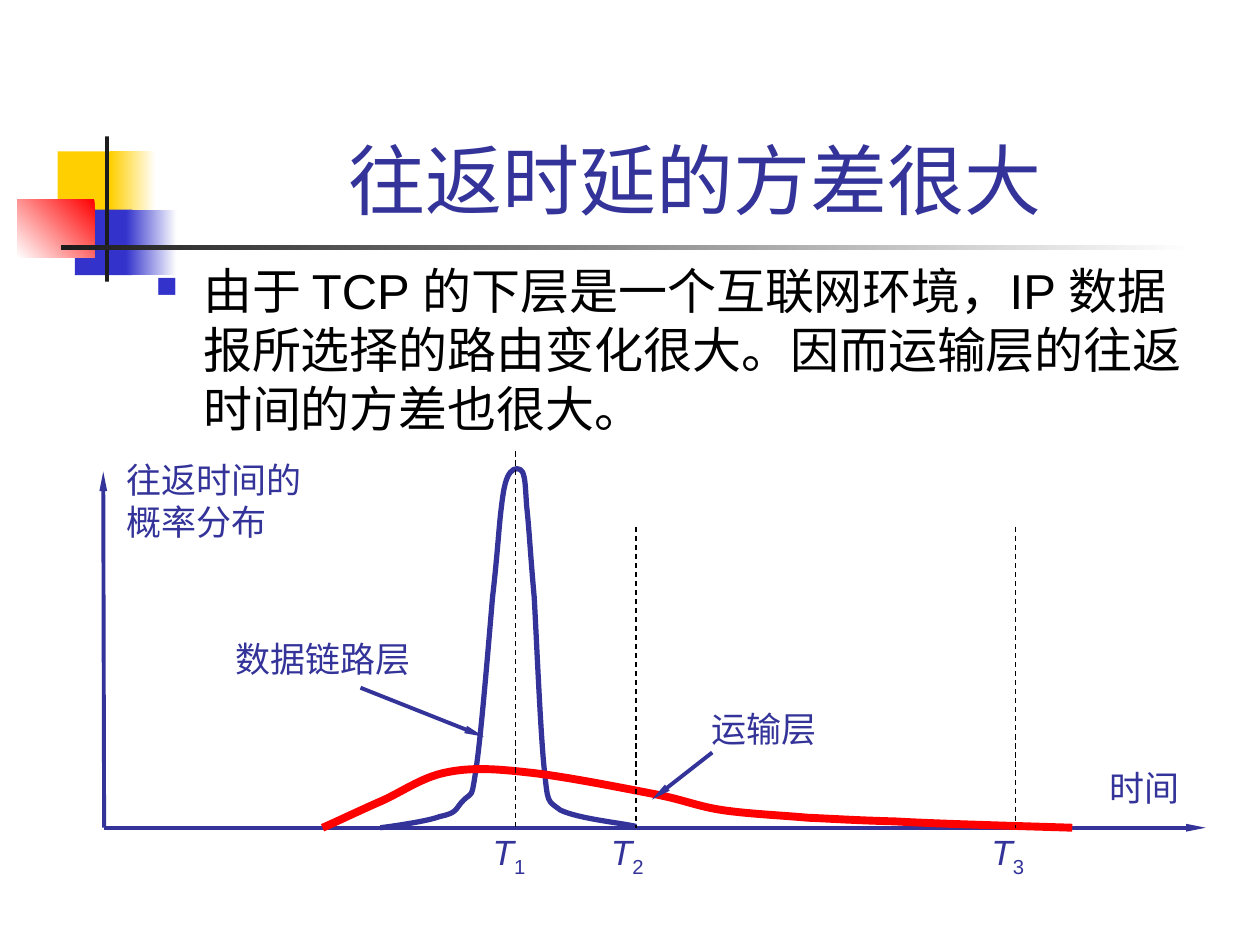
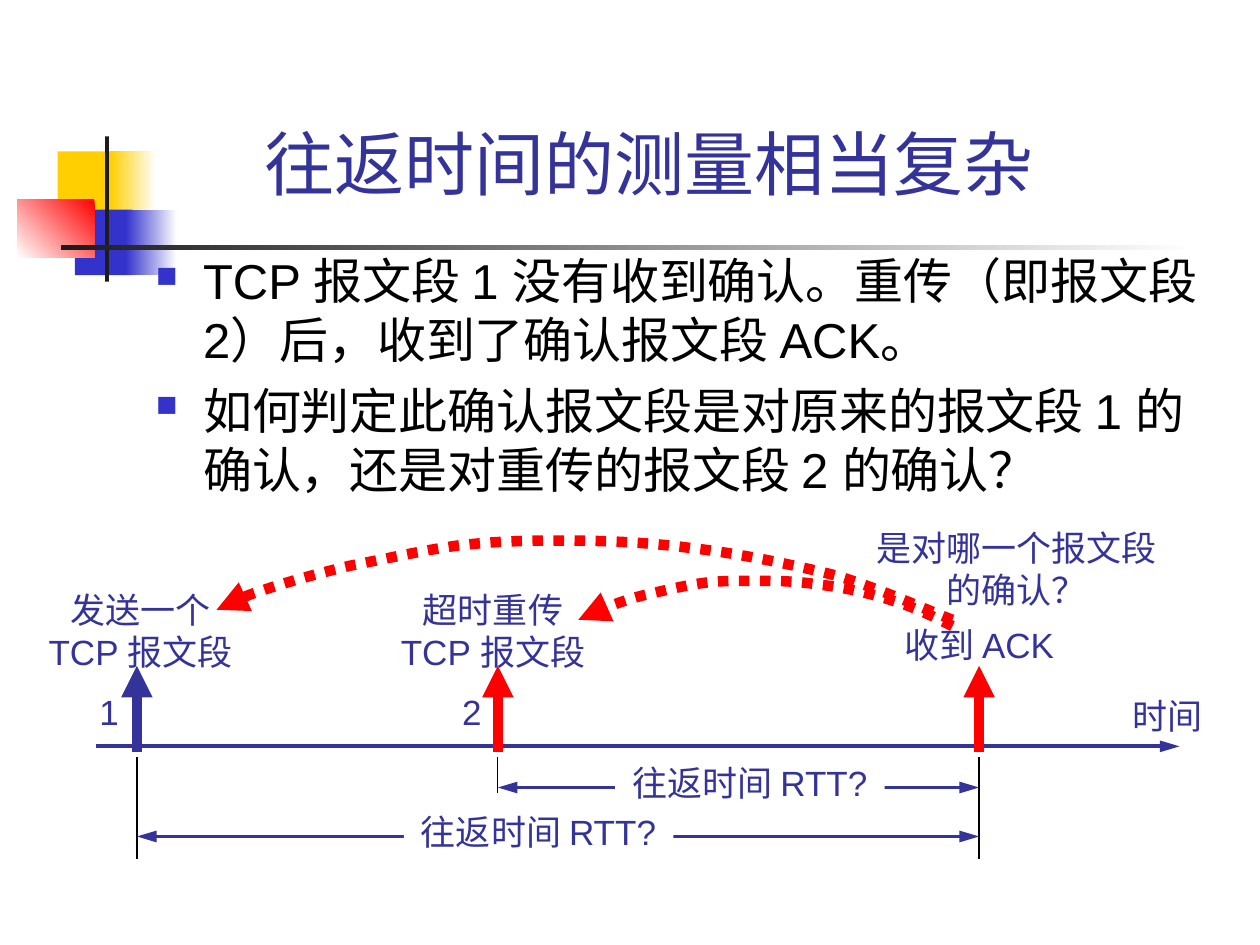
import dataclasses

import lxml.etree
import pptx
import pptx.dml.color
import pptx.enum.dml
import pptx.enum.shapes
import pptx.enum.text
import pptx.oxml.ns
import pptx.util

Pt = pptx.util.Pt
qn = pptx.oxml.ns.qn
ALIGN = pptx.enum.text.PP_ALIGN
ANCHOR = pptx.enum.text.MSO_ANCHOR
FIT = pptx.enum.text.MSO_AUTO_SIZE
DASH = pptx.enum.dml.MSO_LINE
RECT = pptx.enum.shapes.MSO_SHAPE.RECTANGLE
STRAIGHT = pptx.enum.shapes.MSO_CONNECTOR.STRAIGHT


@dataclasses.dataclass(frozen=True)
class Theme:
    font: str = "Arial"
    ink: str = "333399"
    black: str = "000000"
    white: str = "FFFFFF"
    red: str = "FF0000"
    gold: str = "FFCF01"
    blue: str = "3333CC"
    dark: str = "1C1C1C"
    body: float = 28
    label: float = 20
    thin: float = 0.75
    line: float = 2.25
    thick: float = 6


THEME = Theme()
SLIM, LONG, EVEN = ("sm", "lg"), ("med", "lg"), ("med", "med")


def rgb(code):
    return pptx.dml.color.RGBColor.from_string(code)


def add(parent, tag, **attrs):
    return lxml.etree.SubElement(parent, qn(tag), attrs)


def write(frame, text, size=THEME.label, color=THEME.ink, align=ALIGN.LEFT,
          bullet=False, gap=0, italic=False, sub=None):
    """Fill a text frame, one paragraph per line of text; sub is a subscript."""
    for i, line in enumerate(text.split("\n")):
        para = frame.paragraphs[0] if i == 0 else frame.add_paragraph()
        if bullet:
            props = para._p.get_or_add_pPr()
            props.set("marL", str(Pt(27)))
            props.set("indent", str(-Pt(27)))
            add(add(props, "a:buClr"), "a:srgbClr", val=THEME.blue)
            add(props, "a:buSzPct", val="60000")
            add(props, "a:buChar", char="■")
        para.alignment = align
        if i:
            para.space_before = Pt(gap)
        for part in filter(None, (line, sub)):
            run = para.add_run()
            run.text = part
            run.font.name = THEME.font
            run.font.size = Pt(size)
            run.font.color.rgb = rgb(color)
            run.font.italic = italic and part is line
            if part is sub:
                run._r.get_or_add_rPr().set("baseline", "-25000")


class Deck:
    def __init__(self, theme):
        self.theme = theme
        self.file = pptx.Presentation()
        self.file.slide_width, self.file.slide_height = Pt(720), Pt(540)
        self.slide = None

    def start(self, title, box, size):
        self.slide = self.file.slides.add_slide(self.file.slide_layouts[5])
        self.motif()
        head = self.slide.shapes.title
        head.left, head.top, head.width, head.height = map(Pt, box)
        head.text_frame.auto_size = FIT.NONE
        head.text_frame.vertical_anchor = ANCHOR.BOTTOM
        write(head.text_frame, title, size=size, align=ALIGN.CENTER)

    def motif(self):
        """Draw the squares and rules beside the title."""
        t = self.theme
        self.rect((33, 86.5, 34.5, 37.5), t.gold)
        self.rect((63, 86.5, 26, 37.5), t.gold, fade=0)
        self.rect((42.75, 119.75, 33, 37.5), t.blue)
        self.rect((72, 119.75, 29, 37.5), t.blue, fade=0)
        self.rect((10, 113.75, 44, 33.5), t.red, fade=225)
        self.rect((60, 78, 2.25, 83), t.dark)
        self.rect((35, 140.25, 648, 2.5), t.dark, fade=0)

    def rect(self, box, color, fade=None):
        """Draw a plain rectangle; fade is the angle of a blend to white."""
        shape = self.slide.shapes.add_shape(RECT, *map(Pt, box))
        shape.shadow.inherit = False
        shape.line.fill.background()
        if fade is None:
            shape.fill.solid()
            shape.fill.fore_color.rgb = rgb(color)
        else:
            shape.fill.gradient()
            shape.fill.gradient_angle = fade
            for stop, code in zip(shape.fill.gradient_stops,
                                  (color, self.theme.white)):
                stop.color.rgb = rgb(code)
        return shape

    def text(self, text, box, wrap=False, fill=None, **style):
        if fill:
            shape = self.rect(box, fill)
            shape.text_frame.vertical_anchor = ANCHOR.TOP
        else:
            shape = self.slide.shapes.add_textbox(*map(Pt, box))
        frame = shape.text_frame
        frame.word_wrap = wrap
        frame.auto_size = FIT.NONE if wrap else FIT.SHAPE_TO_FIT_TEXT
        write(frame, text, **style)

    def body(self, text, box):
        self.text(text, box, wrap=True, size=self.theme.body,
                  color=self.theme.black, bullet=True, gap=7)

    def stroke(self, shape, color, width, dash=None, head=None, tail=None):
        """Format an outline; head and tail are arrow sizes (width, length)."""
        shape.line.color.rgb = rgb(color)
        shape.line.width = Pt(width)
        if dash:
            shape.line.dash_style = dash
        ln = shape.element.spPr.find(qn("a:ln"))
        for tag, size in (("a:headEnd", head), ("a:tailEnd", tail)):
            if size:
                add(ln, tag, type="triangle", w=size[0], len=size[1])

    def link(self, x1, y1, x2, y2, color=THEME.ink, width=THEME.line, **ends):
        wire = self.slide.shapes.add_connector(
            STRAIGHT, *map(Pt, (x1, y1, x2, y2)))
        self.stroke(wire, color, width, **ends)
        add(wire.element.spPr, "a:effectLst")

    def curve(self, points, color, width, **ends):
        """Draw Bézier arcs: a start, then two handles and an end for each."""
        spots = [(Pt(x), Pt(y)) for x, y in points]
        pen = self.slide.shapes.build_freeform(*spots[0])
        pen.add_line_segments(spots[1:], close=False)
        shape = pen.convert_to_shape()
        shape.shadow.inherit = False
        shape.fill.background()
        route = next(shape.element.iter(qn("a:path")))
        steps = route.findall(qn("a:lnTo"))
        for i in range(0, len(steps), 3):
            arc = add(route, "a:cubicBezTo")
            for step in steps[i:i + 3]:
                arc.append(step[0])
                route.remove(step)
        self.stroke(shape, color, width, **ends)


PEAK = [
    (217.4, 473),
    (223.2, 472.3), (244.1, 469.4), (251.3, 466.6),
    (262.1, 464.4), (259.9, 462.2), (265, 457.2),
    (270, 452.2), (269.3, 457.9), (272.2, 438.5),
    (275, 419.8), (279.4, 365.8), (281.5, 341.3),
    (284.4, 316.1), (285.1, 301), (286.6, 289.4),
    (288, 277.2), (289.4, 272.9), (291.6, 270),
    (293.8, 267.1), (297.4, 267.1), (298.8, 270),
    (300.2, 273.6), (300.2, 277.9), (301, 289.4),
    (302.4, 301.7), (303.1, 316.8), (305.3, 341.3),
    (306.7, 366.5), (308.9, 419), (311, 439.2),
    (313.2, 459.4), (312.5, 457.2), (320.4, 463),
    (331.2, 468), (355, 470.2), (363.6, 472.3),
]
SPREAD = [
    (184.3, 473),
    (189.4, 470.9), (204.5, 463.7), (216, 458.6),
    (228.2, 453.6), (240.5, 444.2), (254.9, 441.4),
    (268.6, 438.5), (282.2, 439.2), (301.7, 441.4),
    (321.8, 443.5), (354.2, 450), (373, 453.6),
    (391.7, 457.2), (398.2, 460.8), (413.3, 463),
    (427.7, 465.1), (445, 465.8), (461.5, 467.3),
    (478.1, 468), (486.7, 468.7), (511.9, 469.4),
    (537.1, 470.9), (591.8, 472.3), (612.7, 473),
]
NEAR = [
    (544.3, 357.8),
    (538.6, 355), (523.4, 347), (510.5, 343.4),
    (497.5, 339.1), (481.7, 335.5), (468, 334.1),
    (454.3, 331.9), (441.4, 331.9), (429.8, 331.9),
    (418.3, 331.9), (410.4, 331.9), (400.3, 333.4),
    (390.2, 334.8), (378.7, 337.7), (369.4, 339.8),
    (360, 342), (350.6, 345.6), (344.2, 347.8),
    (337.7, 349.9), (334.1, 352.1), (330.5, 354.2),
]
FAR = [
    (544.3, 354.2),
    (532.8, 349.9), (502.6, 336.2), (478.1, 329),
    (452.9, 322.6), (421.2, 316.1), (394.6, 313.2),
    (367.9, 309.6), (341.3, 308.9), (319, 308.9),
    (297.4, 308.9), (280.8, 309.6), (261.4, 311.8),
    (241.2, 314.6), (218.9, 319.7), (200.2, 323.3),
    (182.2, 327.6), (164.2, 332.6), (151.2, 337),
    (138.2, 341.3), (131.8, 344.9), (123.8, 348.5),
]


def delay(deck):
    t = deck.theme
    deck.start("往返时延的方差很大", (90.75, 16.75, 613.5, 115.25), 44)
    deck.body("由于 TCP 的下层是一个互联网环境，IP 数据报所选择的路由变化很大。"
              "因而运输层的往返时间的方差也很大。", (82, 145.5, 612, 113))

    base = 473
    deck.link(59.5, base, 689, base, tail=SLIM)
    deck.link(59.5, base, 59, 269.5, tail=SLIM)
    deck.curve(PEAK, t.ink, 3)
    deck.curve(SPREAD, t.red, 4.5)
    marks = ((294.5, 258, 274.5), (363.5, 301, 342), (580.5, 301, 559.5))
    for i, (x, top, left) in enumerate(marks, 1):
        deck.link(x, top, x, base, t.black, t.thin, dash=DASH.DASH)
        deck.text("T", (left, 471, 33, 34.5), italic=True, sub=str(i))

    deck.text("时间", (627, 434.5, 58, 31.5))
    deck.link(206, 393, 276.5, 421, tail=SLIM)
    deck.text("数据链路层", (127.5, 360.5, 118, 31.5))
    deck.text("运输层", (399.5, 400.5, 78, 31.5))
    deck.link(407, 430, 372.5, 457, tail=SLIM)
    deck.text("往返时间的\n概率分布", (65, 258.75, 118, 55.5))


def measure(deck):
    t = deck.theme
    mid = {"align": ALIGN.CENTER}
    deck.start("往返时间的测量相当复杂 ", (90.75, 54.5, 569.5, 66.25), 40)
    deck.body("TCP 报文段 1 没有收到确认。重传（即报文段 2）后，收到了确认报文段 ACK。\n"
              "如何判定此确认报文段是对原来的报文段 1 的确认，"
              "还是对重传的报文段 2 的确认？", (82, 139.75, 612, 152.5))

    first, again, ack, axis = 78.25, 284.5, 559.5, 426.5
    deck.link(55, axis, 674, axis, tail=LONG)
    for x, color, foot in ((first, t.ink, 491), (again, t.red, 453),
                           (ack, t.red, 491)):
        deck.link(x, axis + 3, x, 380.5, color, t.thick, tail=EVEN)
        deck.link(x, 432.5, x, foot, t.black, t.thin)
    for x, y, left in ((again, 450, 351.5), (first, 478, 230.75)):
        deck.link(x, y, ack, y, head=LONG, tail=LONG)
        deck.text("往返时间 RTT?", (left, y - 18.5, 154, 31.5),
                  fill=t.white, **mid)

    for text, box in (
            ("发送一个\nTCP 报文段", (16.5, 332.5, 128, 55.5)),
            ("超时重传\nTCP 报文段", (217.75, 332.5, 128, 55.5)),
            ("收到 ACK", (505, 353, 109, 31.5)),
            ("时间", (638, 393.25, 58, 31.5)),
            ("1", (49.75, 391, 25, 31.5)),
            ("2", (257, 391, 25, 31.5)),
            ("是对哪一个报文段\n的确认？", (491, 297.25, 180, 55.5))):
        deck.text(text, box, **mid)
    for points in (NEAR, FAR):
        deck.curve(points, t.red, t.thick, dash=DASH.ROUND_DOT, tail=EVEN)


def main():
    deck = Deck(THEME)
    delay(deck)
    measure(deck)
    deck.file.save("out.pptx")


if __name__ == "__main__":
    main()
